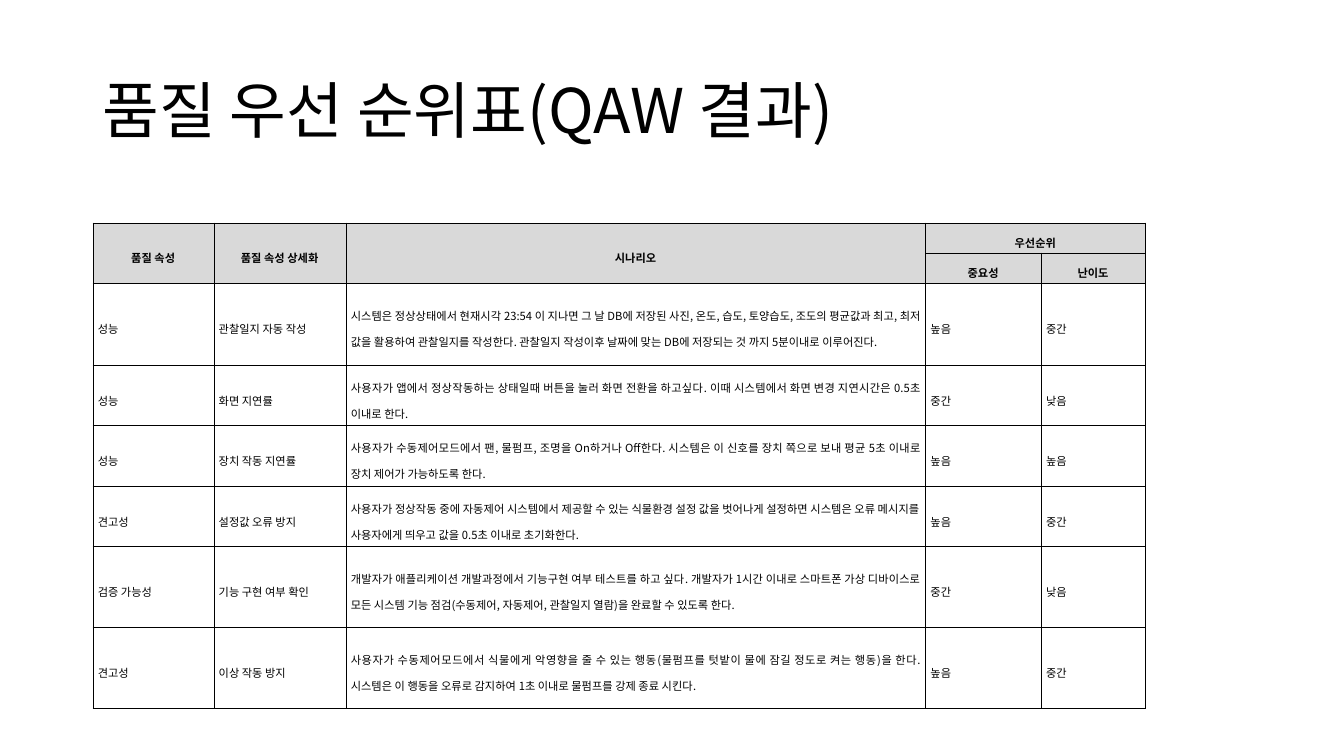
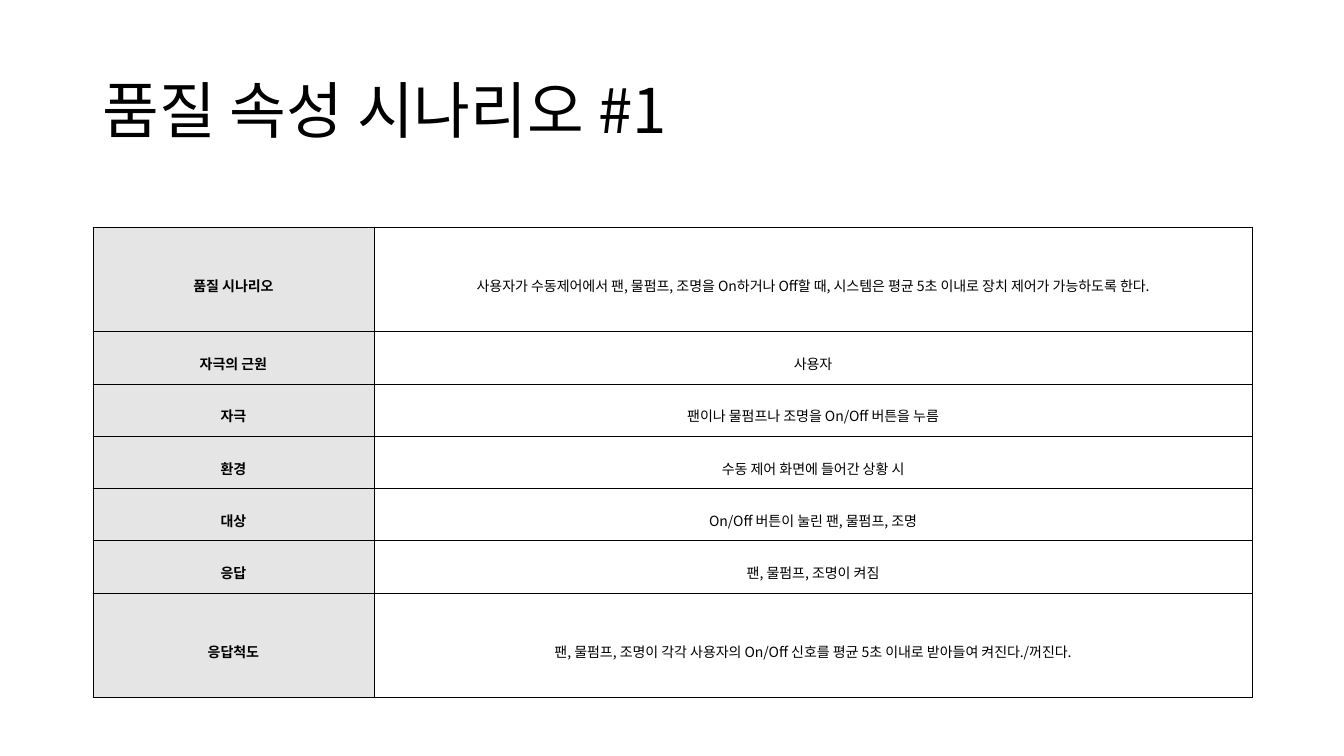
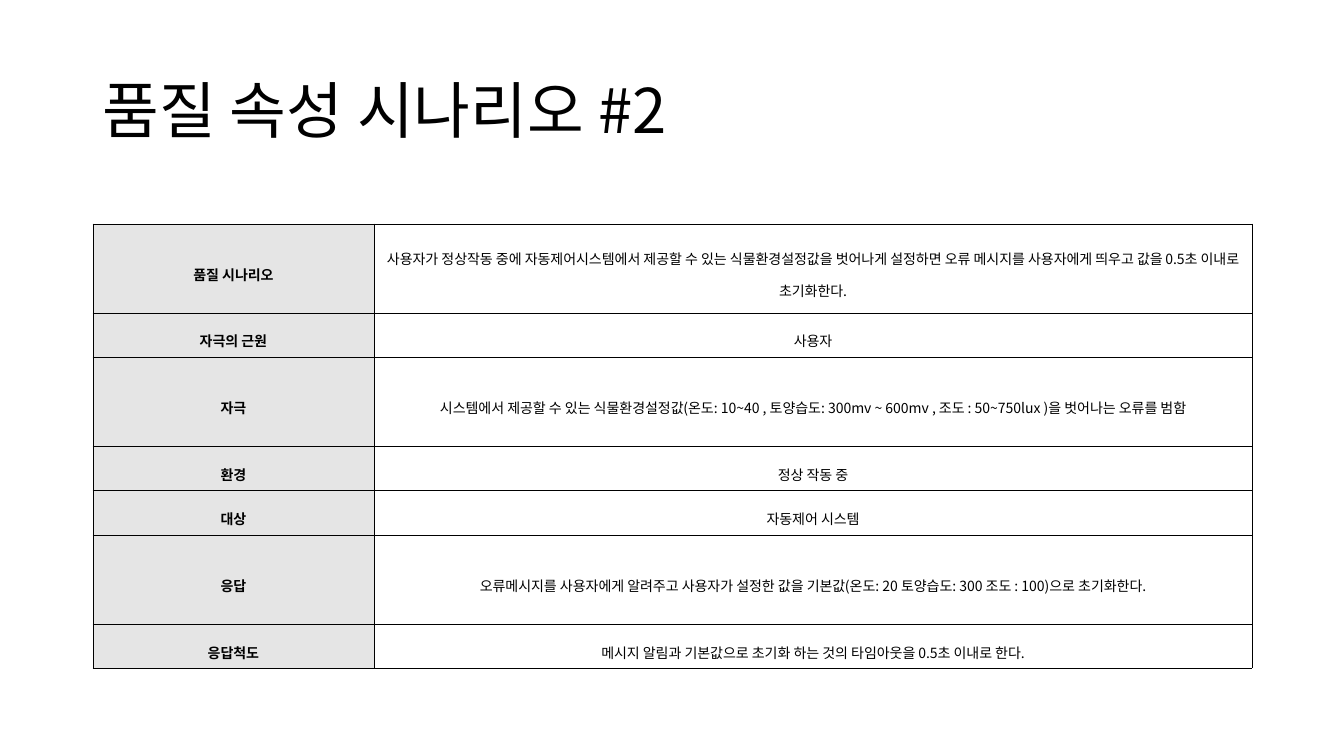
from lxml.etree import SubElement
from pptx import Presentation
from pptx.dml.color import RGBColor
from pptx.enum.text import MSO_ANCHOR, MSO_AUTO_SIZE, PP_ALIGN
from pptx.oxml import parse_xml
from pptx.oxml.ns import nsdecls, qn
from pptx.util import Inches, Pt

LEFT, WIDE = 6.9, 86.26
KEYS = ["품질 시나리오", "자극의 근원", "자극", "환경", "대상", "응답", "응답척도"]

RANKS = [
    ["품질 속성", "품질 속성 상세화", "시나리오", "우선순위", ""],
    ["", "", "", "중요성", "난이도"],
    ["성능", "관찰일지 자동 작성",
     "시스템은 정상상태에서 현재시각 23:54 이 지나면 그 날 DB에 저장된 사진, 온도, 습도, "
     "토양습도, 조도의 평균값과 최고, 최저 값을 활용하여 관찰일지를 작성한다. "
     "관찰일지 작성이후 날짜에 맞는 DB에 저장되는 것 까지 5분이내로 이루어진다.",
     "높음", "중간"],
    ["성능", "화면 지연률",
     "사용자가 앱에서 정상작동하는 상태일때 버튼을 눌러 화면 전환을 하고싶다. "
     "이때 시스템에서 화면 변경 지연시간은 0.5초 이내로 한다.",
     "중간", "낮음"],
    ["성능", "장치 작동 지연률",
     "사용자가 수동제어모드에서 팬, 물펌프, 조명을 On하거나 Off한다. "
     "시스템은 이 신호를 장치 쪽으로 보내 평균 5초 이내로 장치 제어가 가능하도록 한다.",
     "높음", "높음"],
    ["견고성", "설정값 오류 방지",
     "사용자가 정상작동 중에 자동제어 시스템에서 제공할 수 있는 식물환경 설정 값을 벗어나게 "
     "설정하면 시스템은 오류 메시지를 사용자에게 띄우고 값을 0.5초 이내로 초기화한다.",
     "높음", "중간"],
    ["검증 가능성", "기능 구현 여부 확인",
     "개발자가 애플리케이션 개발과정에서 기능구현 여부 테스트를 하고 싶다. "
     "개발자가 1시간 이내로 스마트폰 가상 디바이스로 모든 시스템 기능 점검"
     "(수동제어, 자동제어, 관찰일지 열람)을 완료할 수 있도록 한다.",
     "중간", "낮음"],
    ["견고성", "이상 작동 방지",
     "사용자가 수동제어모드에서 식물에게 악영향을 줄 수 있는 행동"
     "(물펌프를 텃밭이 물에 잠길 정도로 켜는 행동)을 한다. "
     "시스템은 이 행동을 오류로 감지하여 1초 이내로 물펌프를 강제 종료 시킨다.",
     "높음", "중간"],
]

CASES = [
    ("품질 속성 시나리오 #1", 30, 6.92, [2, 1, 1, 1, 1, 1, 2], [
        "사용자가 수동제어에서 팬, 물펌프, 조명을 On하거나 Off할 때, "
        "시스템은 평균 5초 이내로 장치 제어가 가능하도록 한다.",
        "사용자",
        "팬이나 물펌프나 조명을 On/Off 버튼을 누름",
        "수동 제어 화면에 들어간 상황 시",
        "On/Off 버튼이 눌린 팬, 물펌프, 조명",
        "팬, 물펌프, 조명이 켜짐",
        "팬, 물펌프, 조명이 각각 사용자의 On/Off 신호를 평균 5초 이내로 받아들여 켜진다./꺼진다.",
    ]),
    ("품질 속성 시나리오 #2", 29.6, 5.88, [2, 1, 2, 1, 1, 2, 1], [
        "사용자가 정상작동 중에 자동제어시스템에서 제공할 수 있는 식물환경설정값을 벗어나게 "
        "설정하면 오류 메시지를 사용자에게 띄우고 값을 0.5초 이내로 초기화한다.",
        "사용자",
        "시스템에서 제공할 수 있는 식물환경설정값(온도: 10~40 , 토양습도: 300mv ~ 600mv , "
        "조도 : 50~750lux )을 벗어나는 오류를 범함",
        "정상 작동 중",
        "자동제어 시스템",
        "오류메시지를 사용자에게 알려주고 사용자가 설정한 값을 기본값"
        "(온도: 20 토양습도: 300 조도 : 100)으로 초기화한다.",
        "메시지 알림과 기본값으로 초기화 하는 것의 타임아웃을 0.5초 이내로 한다.",
    ]),
]


def tint(code):
    """Turn a hex string into a colour."""
    return RGBColor.from_string(code)


class Deck:
    """Hold the style and the current slide; lengths are percent of the slide."""

    font, ink = "Noto Sans CJK KR", "000000"

    def __init__(self):
        """Start an empty wide deck."""
        self.show = Presentation()
        self.show.slide_width, self.show.slide_height = Inches(13.33), Inches(7.5)

    def across(self, share):
        """Turn a share of the width into a length."""
        return round(self.show.slide_width * share / 100)

    def down(self, share):
        """Turn a share of the height into a length."""
        return round(self.show.slide_height * share / 100)

    def words(self, frame, text, size, bold, align, gap):
        """Put one run in the first paragraph of a frame."""
        para = frame.paragraphs[0]
        para.alignment, para.line_spacing = align, gap
        run = para.add_run()
        run.text = text
        font = run.font
        font.size, font.bold, font.name = Pt(size), bold, self.font
        font.color.rgb = tint(self.ink)
        SubElement(run._r.get_or_add_rPr(), qn("a:ea"), typeface=self.font)

    def page(self, text):
        """Add a slide with its title."""
        self.slide = self.show.slides.add_slide(self.show.slide_layouts[5])
        head = self.slide.shapes.title
        head.left, head.top = self.across(LEFT), self.down(5.33)
        head.width, head.height = self.across(WIDE), self.down(19.33)
        frame = head.text_frame
        frame.word_wrap, frame.auto_size = True, MSO_AUTO_SIZE.NONE
        frame.vertical_anchor = MSO_ANCHOR.MIDDLE
        self.words(frame, text, 44, False, PP_ALIGN.LEFT, 0.9)

    def edge(self, cell):
        """Draw a thin line on all four sides of a cell."""
        props = cell._tc.get_or_add_tcPr()
        for spot, side in enumerate("LRTB"):
            props.insert(spot, parse_xml(
                f'<a:ln{side} {nsdecls("a")} w="{Pt(0.28)}"><a:solidFill>'
                f'<a:srgbClr val="{self.ink}"/></a:solidFill></a:ln{side}>'))

    def cell(self, cell, text, size, pad, fill, align):
        """Fill in one table cell; a filled cell is a bold heading."""
        cell.margin_left = cell.margin_right = Inches(pad)
        cell.margin_top = cell.margin_bottom = Inches(0.02)
        cell.vertical_anchor = MSO_ANCHOR.MIDDLE
        if fill:
            cell.fill.solid()
            cell.fill.fore_color.rgb = tint(fill)
        else:
            cell.fill.background()
        self.edge(cell)
        self.words(cell.text_frame, text, size, bool(fill), align, 1.6)

    def table(self, top, cols, rows, data, look):
        """Add a table; look gives the style of the cell at a row and column."""
        grid = self.slide.shapes.add_table(
            len(rows), len(cols), self.across(LEFT), self.down(top),
            self.across(sum(cols)), self.down(sum(rows))).table
        grid.first_row = grid.horz_banding = False
        for col, share in zip(grid.columns, cols):
            col.width = self.across(share)
        for row, share in zip(grid.rows, rows):
            row.height = self.down(share)
        for r, line in enumerate(data):
            for c, text in enumerate(line):
                self.cell(grid.cell(r, c), text, *look(r, c))
        return grid


def rank(r, c):
    """Style the ranking table: two heading rows."""
    if r < 2:
        return 8, 0.05, "D9D9D9", PP_ALIGN.CENTER
    return 8, 0.05, None, PP_ALIGN.JUSTIFY


def case(r, c):
    """Style a scenario table: one heading column."""
    return 10, 0.07, None if c else "E5E5E5", PP_ALIGN.CENTER


def main():
    """Build and save the deck."""
    deck = Deck()
    deck.page("품질 우선 순위표(QAW 결과)")
    rows = [2.8] * 2 + [10.7] + [8] * 3 + [10.7] * 2
    grid = deck.table(29.47, [9, 9.83, 43.13, 8.6, 7.75], rows, RANKS, rank)
    for c in range(3):
        grid.cell(0, c).merge(grid.cell(1, c))
    grid.cell(0, 3).merge(grid.cell(0, 4))

    for title, top, unit, spans, texts in CASES:
        deck.page(title)
        rows = [unit * span for span in spans]
        deck.table(top, [20.93, 65.33], rows, zip(KEYS, texts), case)
    deck.show.save("out.pptx")


if __name__ == "__main__":
    main()
